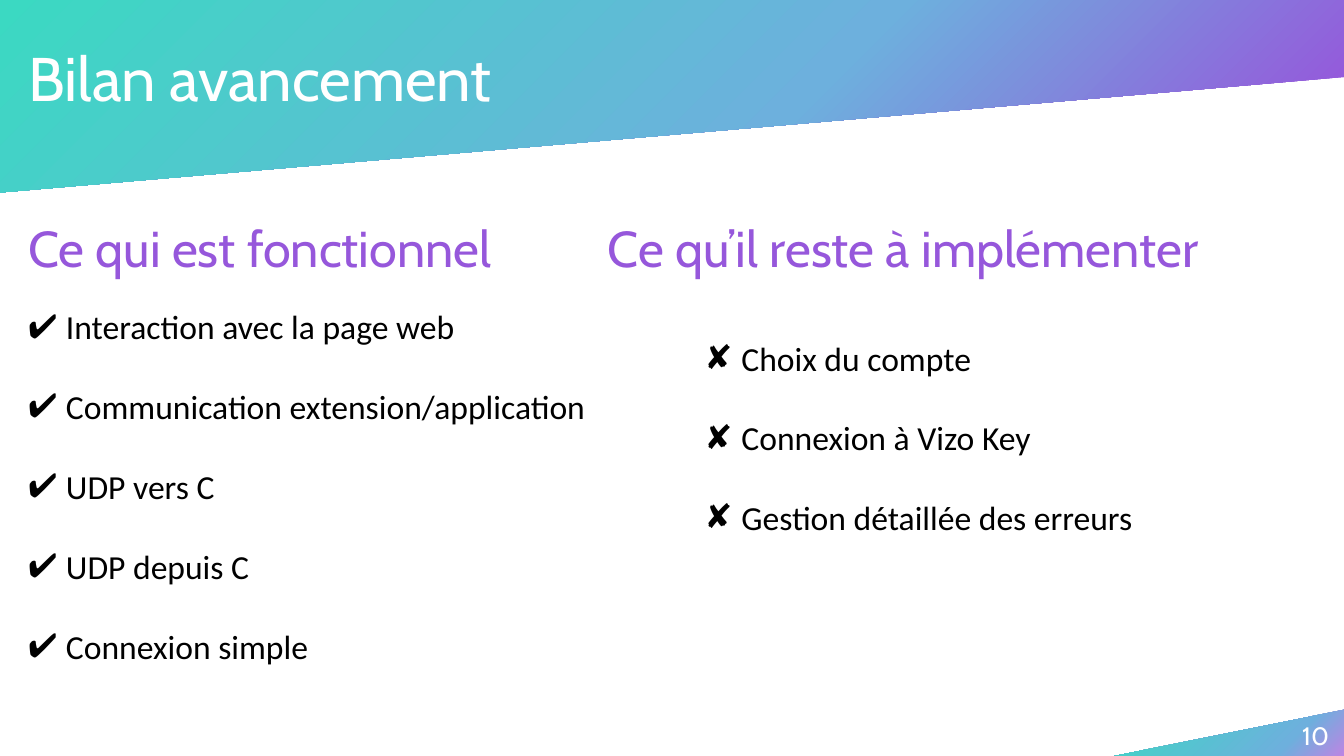
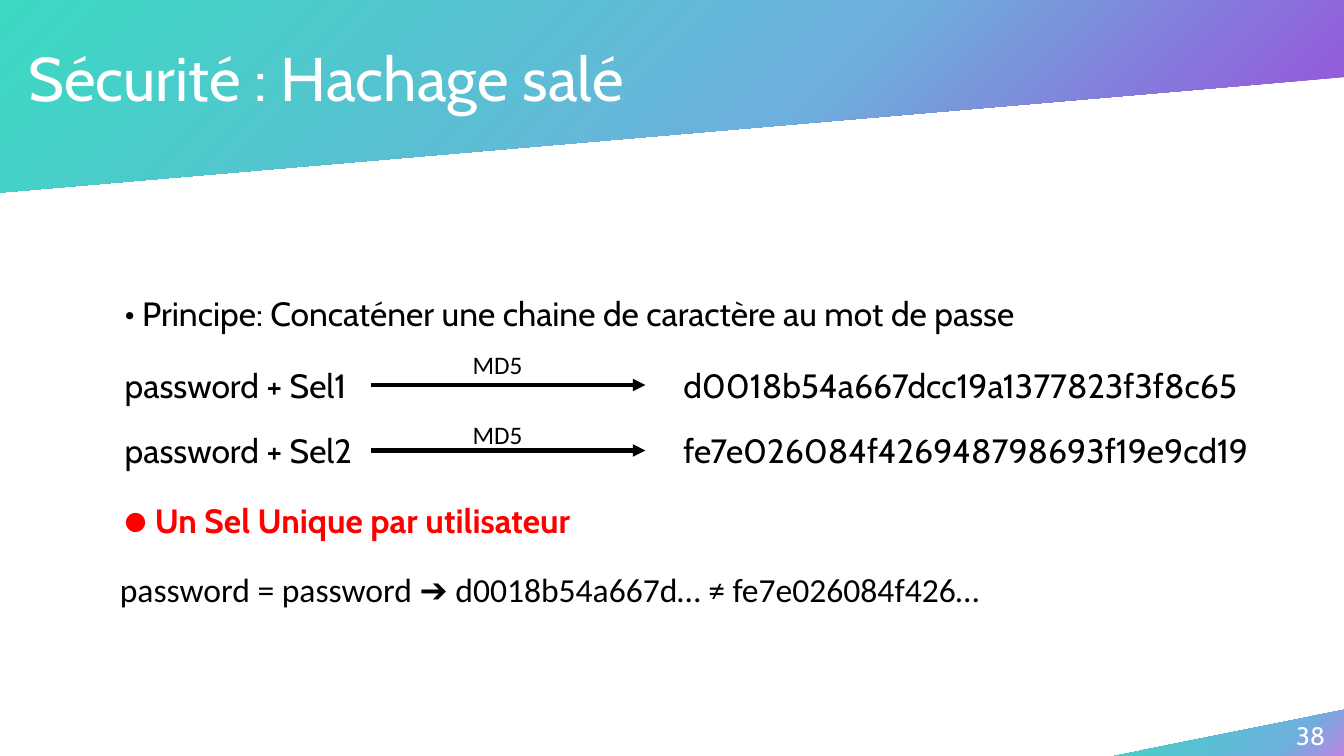
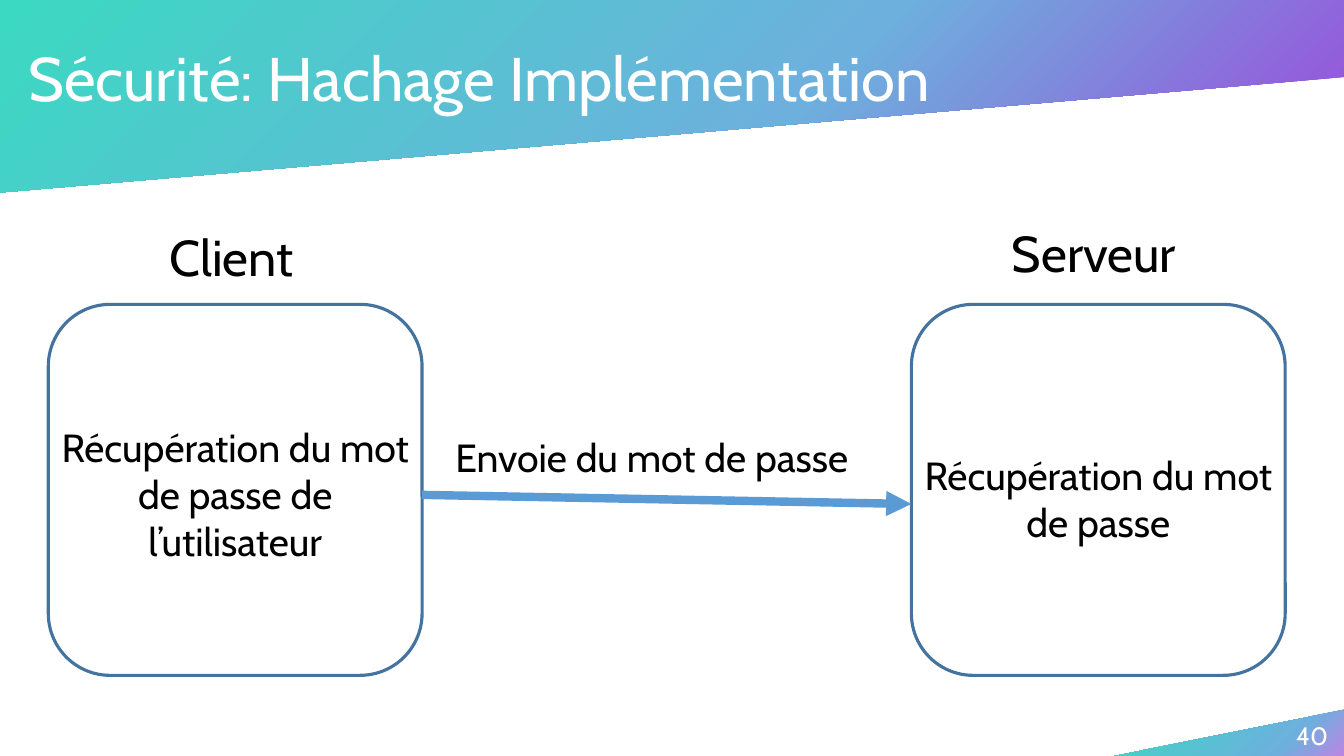
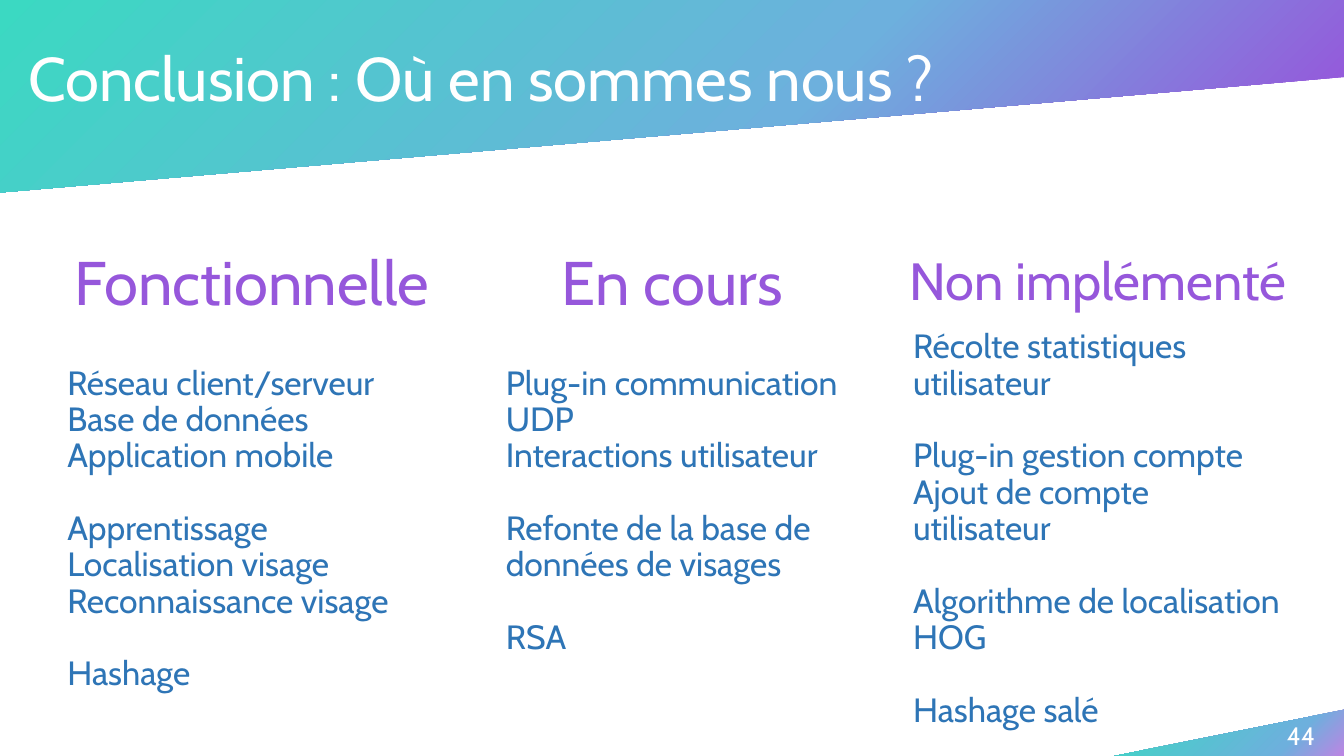
import dataclasses
import typing

import pptx
import pptx.dml.color
import pptx.enum.shapes
import pptx.enum.text
import pptx.oxml
import pptx.oxml.ns
import pptx.util

Pt = pptx.util.Pt
RGBColor = pptx.dml.color.RGBColor
Align = pptx.enum.text.PP_ALIGN
Anchor = pptx.enum.text.MSO_ANCHOR

# Shared colours and fonts
WHITE = RGBColor(0xFF, 0xFF, 0xFF)
BLACK = RGBColor(0, 0, 0)
RED = RGBColor(0xFF, 0, 0)
TEAL = RGBColor(0x3B, 0xD9, 0xC2)
SKY = RGBColor(0x6D, 0xB0, 0xDD)
PURPLE = RGBColor(0x96, 0x57, 0xDB)
LILAC = RGBColor(0xBD, 0x85, 0xE3)
BLUE = RGBColor(0x2E, 0x75, 0xB6)
STEEL = RGBColor(0x43, 0x73, 0x9E)
AZURE = RGBColor(0x5B, 0x9B, 0xD5)
CABIN = "Cabin"
CALIBRI = "Calibri"

WIDTH, HEIGHT = 960, 540


class Mark(typing.NamedTuple):
    char: str
    face: str
    indent: float
    scale: int = 100


class Band(typing.NamedTuple):
    points: tuple
    stops: tuple


@dataclasses.dataclass(frozen=True)
class Text:
    """A text box; each group of lines after the first starts after a gap."""
    left: float
    top: float
    width: float
    height: float
    groups: tuple
    size: float = 24
    color: RGBColor = BLACK
    face: str = CABIN
    bold: bool = False
    align: Align = Align.LEFT
    anchor: Anchor = Anchor.TOP
    pitch: float = 1.0
    gap: float = 0
    mark: typing.Optional[Mark] = None


BANDS = (
    Band(((0, 0), (WIDTH, 0), (WIDTH, 55), (0, 137.5)),
         ((0, TEAL), (59, SKY), (94, PURPLE))),
    Band(((796, HEIGHT), (WIDTH, HEIGHT), (WIDTH, 507)),
         ((0, TEAL), (75, SKY), (100, LILAC))),
)


# Drawing helpers
def add_xml(parent, xml: str) -> None:
    head, tail = xml.split(" ", 1) if " " in xml else (xml[:-2], "/>")
    space = pptx.oxml.ns.nsdecls("a")
    parent.append(pptx.oxml.parse_xml(f"{head} {space} {tail}"))


def add_mark(para, mark: Mark) -> None:
    props = para._p.get_or_add_pPr()
    props.set("marL", str(Pt(mark.indent)))
    props.set("indent", str(-Pt(mark.indent)))
    add_xml(props, f'<a:buSzPct val="{mark.scale * 1000}"/>')
    add_xml(props, f'<a:buFont typeface="{mark.face}"/>')
    add_xml(props, f'<a:buChar char="{mark.char}"/>')


def add_text(slide, text: Text) -> None:
    box = slide.shapes.add_textbox(Pt(text.left), Pt(text.top),
                                   Pt(text.width), Pt(text.height))
    frame = box.text_frame
    frame.word_wrap = True
    frame.vertical_anchor = text.anchor
    look = {"size": Pt(text.size), "name": text.face, "bold": text.bold}
    first = True
    for group in text.groups:
        for row, line in enumerate(group):
            para = frame.paragraphs[0] if first else frame.add_paragraph()
            form = {"alignment": text.align, "line_spacing": text.pitch}
            if row == 0 and not first:
                form["space_before"] = Pt(text.gap)
            for name, value in form.items():
                setattr(para, name, value)
            if text.mark:
                add_mark(para, text.mark)
            run = para.add_run()
            run.text = line
            for name, value in look.items():
                setattr(run.font, name, value)
            run.font.color.rgb = text.color
            first = False


def add_band(slide, band: Band) -> None:
    points = [(Pt(x), Pt(y)) for x, y in band.points]
    path = slide.shapes.build_freeform(*points[0], scale=1.0)
    path.add_line_segments(points[1:], close=True)
    shape = path.convert_to_shape()
    shape.shadow.inherit = False
    shape.line.fill.background()
    stops = "".join(f'<a:gs pos="{pos * 1000}"><a:srgbClr val="{color}"/></a:gs>'
                    for pos, color in band.stops)
    fill = pptx.oxml.parse_xml(
        f'<a:gradFill {pptx.oxml.ns.nsdecls("a")} rotWithShape="1">'
        f'<a:gsLst>{stops}</a:gsLst><a:path path="circle">'
        '<a:fillToRect r="100000" b="100000"/></a:path></a:gradFill>')
    props = shape._element.spPr
    props.find(pptx.oxml.ns.qn("a:custGeom")).addnext(fill)


def add_arrow(slide, start: tuple, end: tuple, color: RGBColor,
              weight: float) -> None:
    kind = pptx.enum.shapes.MSO_CONNECTOR.STRAIGHT
    arrow = slide.shapes.add_connector(kind, *map(Pt, start + end))
    arrow.line.color.rgb = color
    arrow.line.width = Pt(weight)
    add_xml(arrow.line._get_or_add_ln(), '<a:tailEnd type="triangle"/>')
    add_xml(arrow._element.spPr, "<a:effectLst/>")


def add_frame(slide, left: float, top: float, width: float,
              height: float) -> None:
    kind = pptx.enum.shapes.MSO_SHAPE.ROUNDED_RECTANGLE
    shape = slide.shapes.add_shape(kind, Pt(left), Pt(top), Pt(width), Pt(height))
    shape.shadow.inherit = False
    shape.fill.background()
    shape.line.color.rgb = STEEL
    shape.line.width = Pt(2.25)


def add_page(deck, title: str, number: str, left: float):
    slide = deck.slides.add_slide(deck.slide_layouts[6])
    for band in BANDS:
        add_band(slide, band)
    add_text(slide, Text(13, 5.8, 828, 104.4, ((title,),), 44, WHITE,
                         anchor=Anchor.MIDDLE, pitch=0.9))
    add_text(slide, Text(left, 511.2, 40, 28.8, ((number,),), 18, WHITE))
    return slide


# Slides
def draw_status(deck) -> None:
    slide = add_page(deck, "Bilan avancement", "10", 923)
    heads = ((13, 405, "Ce qui est fonctionnel"),
             (427, 471, "Ce qu’il reste à implémenter"))
    for left, width, head in heads:
        add_text(slide, Text(left, 151.2, width, 51, ((head,),), 36, PURPLE))
    done = (("Interaction avec la page web",),
            ("Communication extension/application",),
            ("UDP vers C",), ("UDP depuis C",), ("Connexion simple",))
    todo = (("Choix du compte",), ("Connexion à Vizo Key",),
            ("Gestion détaillée des erreurs",))
    lists = ((13, 215.3, 420, 310, done, Mark("✔", "Arial", 27)),
             (496, 237.6, 333, 211, todo, Mark("✘", "Arial", 26.5)))
    for left, top, width, height, items, mark in lists:
        add_text(slide, Text(left, top, width, height, items, face=CALIBRI,
                             gap=28.2, mark=mark))


def draw_salt(deck) -> None:
    slide = add_page(deck, "Sécurité : Hachage salé", "38", 918.7)
    edge = 82
    add_text(slide, Text(
        edge, 206, 817, 36,
        (("Principe: Concaténer une chaine de caractère au mot de passe",),),
        mark=Mark("•", CABIN, 12.5)))
    # Each salted password and its hash
    rows = ((257, 246.2, "password + Sel1", "d0018b54a667dcc19a1377823f3f8c65"),
            (303.8, 296, "password + Sel2", "fe7e026084f426948798693f19e9cd19"))
    for top, above, word, code in rows:
        add_text(slide, Text(edge, top, 194, 36, ((word,),)))
        add_text(slide, Text(481, top, 440, 36, ((code,),)))
        add_text(slide, Text(330.5, above, 85, 29.5, (("MD5",),), 18,
                             face=CALIBRI))
        add_arrow(slide, (265, top + 18), (461, top + 18), BLACK, 3)
    add_text(slide, Text(edge, 353.5, 833, 36,
                         (("Un Sel Unique par utilisateur",),), color=RED,
                         bold=True, mark=Mark("●", CABIN, 21.5, 75)))
    add_text(slide, Text(
        78.5, 402.5, 674, 36,
        (("password = password ➔ d0018b54a667d… ≠ fe7e026084f426…",),),
        face=CALIBRI))


def draw_flow(deck) -> None:
    slide = add_page(deck, "Sécurité: Hachage Implémentation", "40", 918.7)
    side = 267
    ends = ((34.5, 113.8, 157.7, "Client", 298.8,
             "Récupération du mot de passe de l’utilisateur"),
            (651, 715.7, 154.8, "Serveur", 319,
             "Récupération du mot de passe"))
    for left, inset, top, head, line, task in ends:
        add_frame(slide, left, 217.4, side, 265)
        add_text(slide, Text(inset, top, 150, 51, ((head,),), 36))
        add_text(slide, Text(left - 0.5, line, side + 1, 108, ((task,),), 28,
                             align=Align.CENTER))
    add_arrow(slide, (301.5, 353.5), (651, 360), AZURE, 6)
    add_text(slide, Text(318.2, 306, 315, 41, (("Envoie du mot de passe",),), 28))


def draw_end(deck) -> None:
    slide = add_page(deck, "Conclusion : Où en sommes nous ?", "44", 912.2)
    line = 26
    full = 307.4
    cols = (
        (41, 278, "Fonctionnelle", 44, 0.9, 41, full,
         (("Réseau client/serveur", "Base de données", "Application mobile"),
          ("Apprentissage", "Localisation visage", "Reconnaissance visage"),
          ("Hashage",))),
        (341.3, 278, "En cours", 44, 0.9, 354.2, full - line,
         (("Plug-in communication UDP", "Interactions utilisateur"),
          ("Refonte de la base de données de visages",), ("RSA",))),
        (641.5, 286, "Non implémenté", 37.4, 0.8, 645.1, full,
         (("Récolte statistiques utilisateur",),
          ("Plug-in gestion compte", "Ajout de compte utilisateur"),
          ("Algorithme de localisation HOG",), ("Hashage salé",))),
    )
    for left, width, head, size, pitch, edge, height, groups in cols:
        add_text(slide, Text(left, 166.3, width, 75, ((head,),), size, PURPLE,
                             align=Align.CENTER, anchor=Anchor.MIDDLE,
                             pitch=pitch))
        add_text(slide, Text(edge, 224.6, 278, height, groups, color=BLUE,
                             anchor=Anchor.MIDDLE, pitch=0.9, gap=line))


def main() -> None:
    deck = pptx.Presentation()
    deck.slide_width, deck.slide_height = Pt(WIDTH), Pt(HEIGHT)
    for draw in (draw_status, draw_salt, draw_flow, draw_end):
        draw(deck)
    deck.save("out.pptx")


if __name__ == "__main__":
    main()
